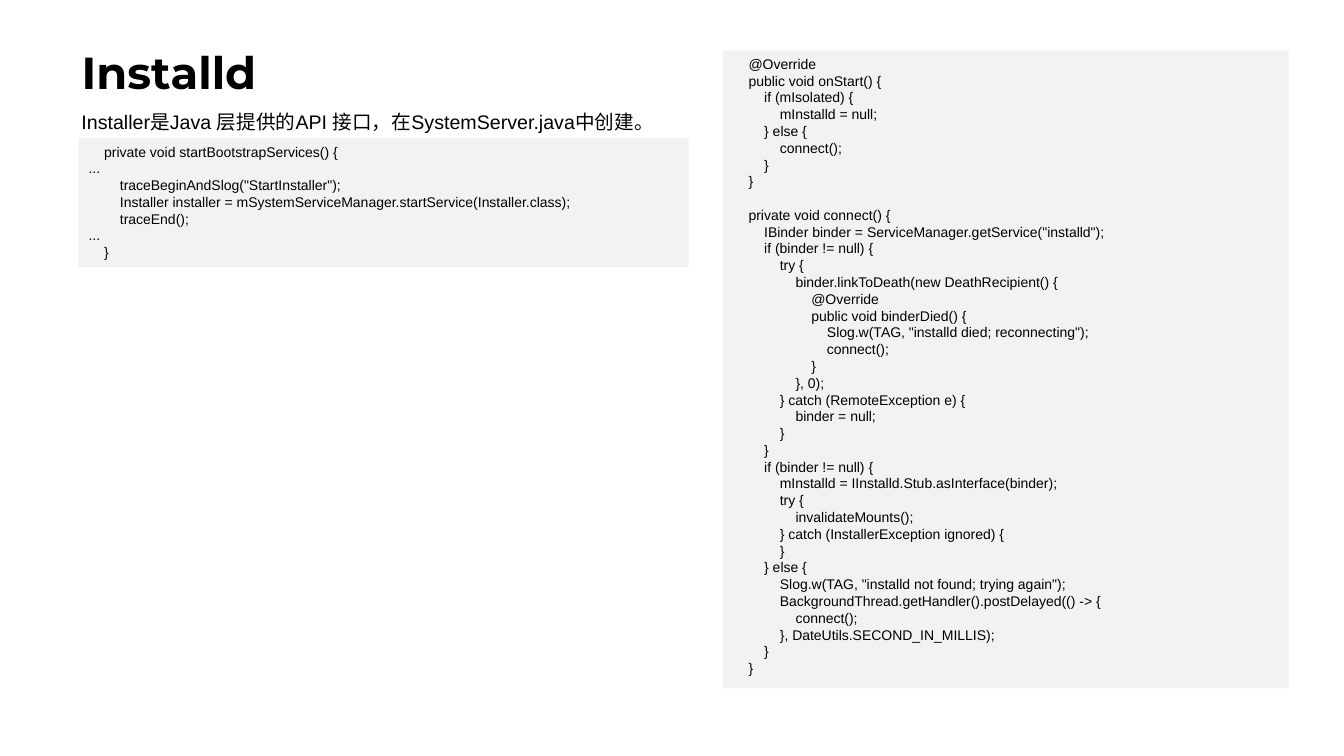
from dataclasses import dataclass

from pptx import Presentation
from pptx.dml.color import RGBColor
from pptx.enum.shapes import MSO_SHAPE
from pptx.enum.text import MSO_ANCHOR, PP_ALIGN
from pptx.util import Inches, Pt


@dataclass(frozen=True)
class Theme:
    ink: RGBColor = RGBColor(0x00, 0x00, 0x00)
    panel: RGBColor = RGBColor(0xF2, 0xF2, 0xF2)
    title_font: str = "Montserrat"
    body_font: str = "Arial"
    title_size: int = 32
    body_size: int = 14
    code_size: int = 10
    code_line: int = 12


THEME = Theme()
# Four spaces, each 0.28 em wide
INDENT = Inches(4 * 0.28 * THEME.code_size / 72)

BOOTSTRAP_CODE = """\
    private void startBootstrapServices() {
...
        traceBeginAndSlog("StartInstaller");
        Installer installer = mSystemServiceManager.startService(Installer.class);
        traceEnd();
...
    }"""

ON_START_CODE = """\
    @Override
    public void onStart() {
        if (mIsolated) {
            mInstalld = null;
        } else {
            connect();
        }
    }
"""

LINK_BINDER_CODE = """\
    private void connect() {
        IBinder binder = ServiceManager.getService("installd");
        if (binder != null) {
            try {
                binder.linkToDeath(new DeathRecipient() {
                    @Override
                    public void binderDied() {
                        Slog.w(TAG, "installd died; reconnecting");
                        connect();
                    }
                }, 0);
            } catch (RemoteException e) {
                binder = null;
            }
        }"""

USE_BINDER_CODE = """\
        if (binder != null) {
            mInstalld = IInstalld.Stub.asInterface(binder);
            try {
                invalidateMounts();
            } catch (InstallerException ignored) {
            }
        } else {
            Slog.w(TAG, "installd not found; trying again");
            BackgroundThread.getHandler().postDelayed(() -> {
                connect();
            }, DateUtils.SECOND_IN_MILLIS);
        }
    }"""


def add_run(p, text, size, font=THEME.body_font, bold=False):
    r = p.add_run()
    r.text = text
    r.font.name = font
    r.font.size = Pt(size)
    r.font.bold = bold
    r.font.color.rgb = THEME.ink


def add_title(s, box, text):
    title = s.shapes.title
    title.left, title.top, title.width, title.height = map(Inches, box)
    tf = title.text_frame
    tf.vertical_anchor = MSO_ANCHOR.MIDDLE
    p = tf.paragraphs[0]
    p.alignment = PP_ALIGN.LEFT
    p.line_spacing = 0.9
    add_run(p, text, THEME.title_size, THEME.title_font, bold=True)


def add_intro(s, box, text):
    tf = s.shapes.add_textbox(*map(Inches, box)).text_frame
    tf.word_wrap = True
    add_run(tf.paragraphs[0], text, THEME.body_size)


def add_code_panel(s, box, *blocks):
    """Turn leading spaces into indents and blank lines into space before."""
    sp = s.shapes.add_shape(MSO_SHAPE.RECTANGLE, *map(Inches, box))
    sp.shadow.inherit = False
    sp.fill.solid()
    sp.fill.fore_color.rgb = THEME.panel
    sp.line.fill.background()
    tf = sp.text_frame
    tf.word_wrap = True
    tf.vertical_anchor = MSO_ANCHOR.TOP
    p, gap = tf.paragraphs[0], 0
    for i, line in enumerate("\n".join(blocks).splitlines()):
        text = line.lstrip()
        if not text:
            gap = THEME.code_line
            continue
        if i:
            p = tf.add_paragraph()
        p.alignment = PP_ALIGN.LEFT
        p.line_spacing = Pt(THEME.code_line)
        p.space_before = Pt(gap)
        level = (len(line) - len(text)) // 4
        p._p.get_or_add_pPr().set("marL", str(level * INDENT))
        add_run(p, text, THEME.code_size)
        gap = 0


def build_slide(prs):
    s = prs.slides.add_slide(prs.slide_layouts[5])
    add_title(s, (0.71, 0.02, 11.5, 1.45), "Installd")
    add_intro(s, (0.71, 1.04, 6.2, 0.34),
              "Installer是Java 层提供的API 接口，在SystemServer.java中创建。")
    add_code_panel(s, (0.78, 1.37, 6.05, 1.28), BOOTSTRAP_CODE)
    add_code_panel(s, (7.17, 0.5, 5.61, 6.33),
                   ON_START_CODE, LINK_BINDER_CODE, USE_BINDER_CODE)


def main():
    prs = Presentation()
    prs.slide_width, prs.slide_height = Inches(13.33), Inches(7.5)
    build_slide(prs)
    prs.save("out.pptx")


if __name__ == "__main__":
    main()
